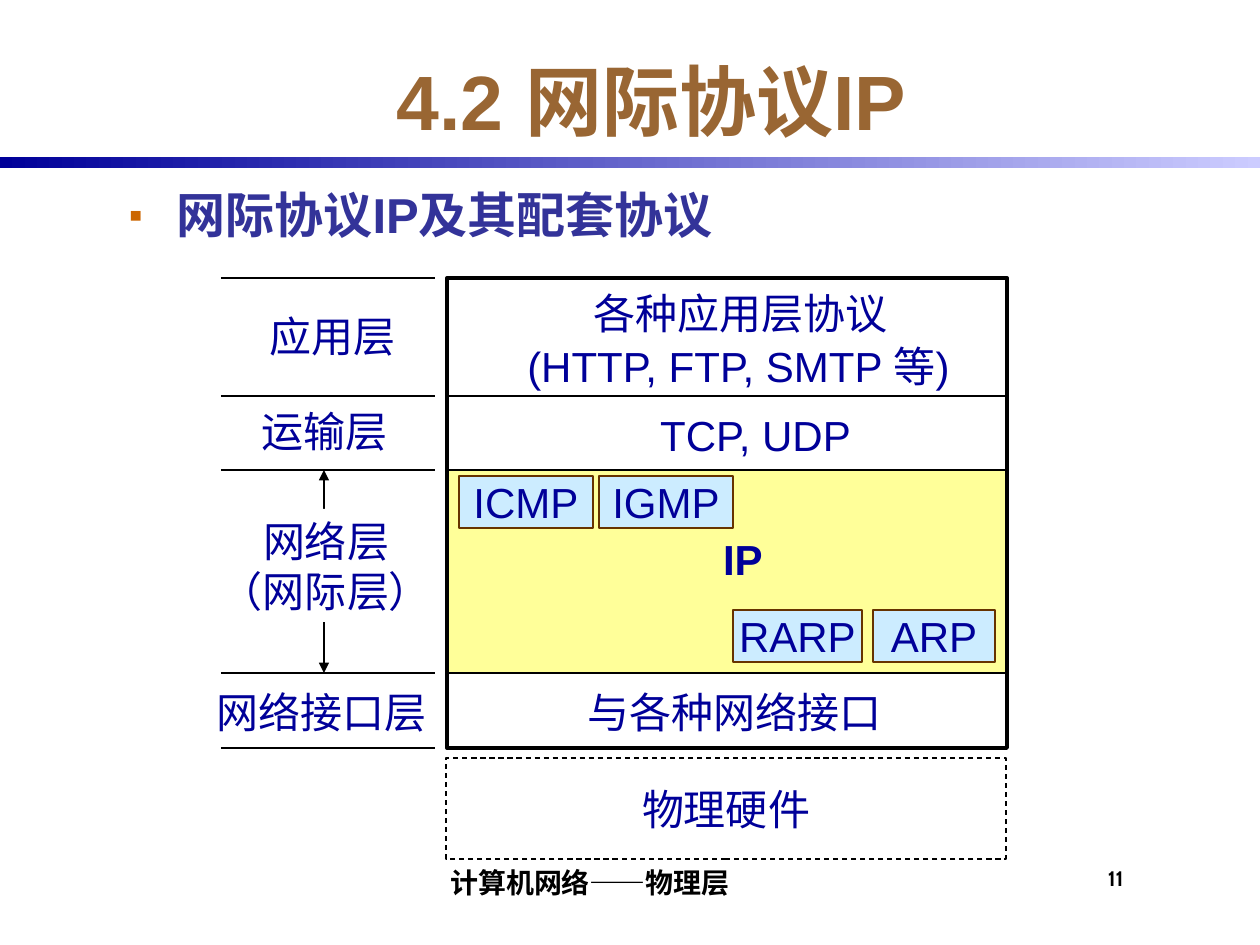
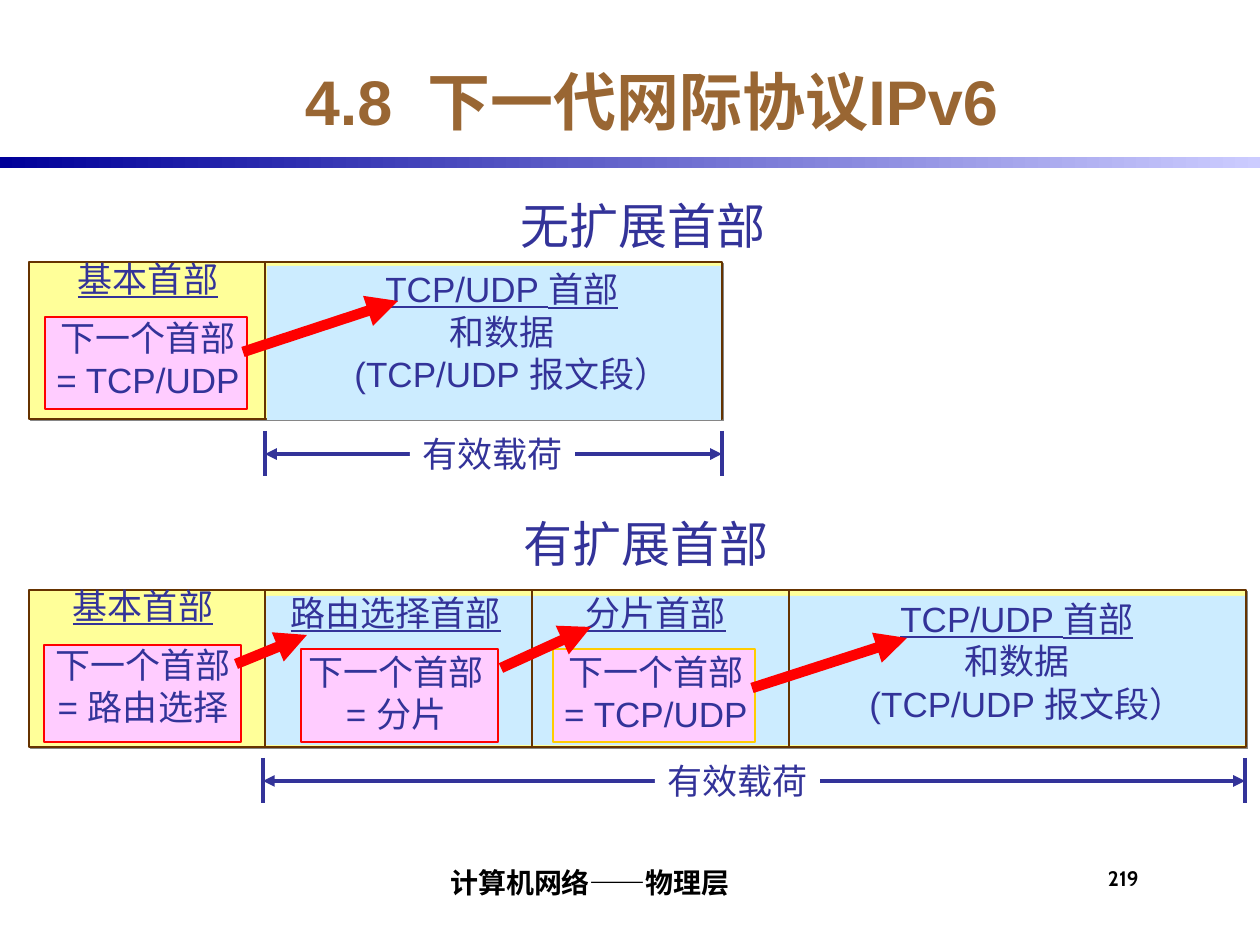
from lxml.etree import SubElement
from pptx import Presentation
from pptx.dml.color import RGBColor
from pptx.enum.dml import MSO_LINE
from pptx.enum.shapes import MSO_CONNECTOR, MSO_SHAPE
from pptx.enum.text import MSO_ANCHOR, MSO_AUTO_SIZE, PP_ALIGN
from pptx.oxml.ns import qn
from pptx.util import Emu, Pt

COLORS = {
    "title": "996633", "navy": "000099", "indigo": "333399", "pale": "CCCCFF",
    "bullet": "CC6600", "yellow": "FFFF99", "blue": "CCECFF", "pink": "FFCCFF",
    "brown": "663300", "red": "FF0000", "gold": "FFCC00", "white": "FFFFFF",
    "black": "000000", "shadow": "868686",
}
TOP, MIDDLE, BOTTOM = MSO_ANCHOR.TOP, MSO_ANCHOR.MIDDLE, MSO_ANCHOR.BOTTOM


def px(n):
    """Turn pixels at 126 to the inch into EMU."""
    return Emu(round(n * 914400 / 126))


def rgb(name):
    """Look up a named colour."""
    return RGBColor.from_string(COLORS[name])


def write(tf, text, size=24, color="navy", font="Arial", bold=False,
          align=PP_ALIGN.CENTER, anchor=MIDDLE, ins=(13, 6, 13, 6), wrap=False,
          underline_first=False, gap=0, last_indent=0, bullet=None):
    """Fill a text frame with one paragraph for each line of text."""
    tf.auto_size = MSO_AUTO_SIZE.NONE
    tf.word_wrap = wrap
    tf.vertical_anchor = anchor
    tf.margin_left, tf.margin_top, tf.margin_right, tf.margin_bottom = map(px, ins)
    lines = text.split("\n")
    for i, line in enumerate(lines):
        p = tf.paragraphs[0] if i == 0 else tf.add_paragraph()
        p.alignment = align
        if i == 1 and gap:
            p.space_before = Pt(gap)
        if i == len(lines) - 1 and last_indent:
            p._p.get_or_add_pPr().set("marL", str(px(last_indent)))
        if bullet:
            add_bullet(p, bullet)
        r = p.add_run()
        r.text = line
        r.font.name, r.font.size, r.font.bold = font, Pt(size), bold
        r.font.color.rgb = rgb(color)
        if underline_first and i == 0:
            r.font.underline = True


def add_bullet(p, char):
    """Give a paragraph a hanging bullet."""
    pPr = p._p.get_or_add_pPr()
    pPr.set("marL", str(px(48)))
    pPr.set("indent", str(-px(48)))
    color = SubElement(pPr, qn("a:buClr"))
    SubElement(color, qn("a:srgbClr"), val=COLORS["bullet"])
    SubElement(pPr, qn("a:buSzPct"), val="80000")
    SubElement(pPr, qn("a:buFont"), typeface="Arial")
    SubElement(pPr, qn("a:buChar"), char=char)


def add_text(s, x, y, w, h, text, **fmt):
    """Add a text box."""
    box = s.shapes.add_textbox(px(x), px(y), px(w), px(h))
    write(box.text_frame, text, **fmt)


def add_rect(s, x, y, w, h, fill=None, line=None, width=0.75, text=None, **fmt):
    """Add a rectangle with an optional fill, outline and text."""
    sp = s.shapes.add_shape(MSO_SHAPE.RECTANGLE, px(x), px(y), px(w), px(h))
    sp.shadow.inherit = False
    if fill:
        sp.fill.solid()
        sp.fill.fore_color.rgb = rgb(fill)
    else:
        sp.fill.background()
    if line:
        sp.line.color.rgb = rgb(line)
        sp.line.width = Pt(width)
    else:
        sp.line.fill.background()
    if text:
        write(sp.text_frame, text, **fmt)
    return sp


def add_shadow(sp):
    """Give a shape a hard shadow to the lower right."""
    effects = sp._element.spPr.find(qn("a:effectLst"))
    shadow = SubElement(effects, qn("a:outerShdw"), dist=str(Pt(1.4)),
                        dir="2700000", algn="ctr", rotWithShape="0")
    SubElement(shadow, qn("a:srgbClr"), val=COLORS["shadow"])


def add_line(s, x1, y1, x2, y2, color="black", width=0.75, arrows=()):
    """Add a straight line; arrows may name headEnd and tailEnd."""
    c = s.shapes.add_connector(MSO_CONNECTOR.STRAIGHT, px(x1), px(y1), px(x2), px(y2))
    c.line.color.rgb = rgb(color)
    c.line.width = Pt(width)
    for end in arrows:
        SubElement(c.line._get_or_add_ln(), qn(f"a:{end}"), type="triangle")
    SubElement(c._element.spPr, qn("a:effectLst"))


def add_slide(prs, title, size, number):
    """Add a slide with its title, gradient band, footer and number."""
    s = prs.slides.add_slide(prs.slide_layouts[5])
    band = add_rect(s, 0, 157, 1260, 11, fill="navy")
    band.fill.gradient()
    band.fill.gradient_angle = 0
    for stop, color in zip(band.fill.gradient_stops, ("navy", "pale")):
        stop.color.rgb = rgb(color)
    t = s.shapes.title
    t.left, t.top, t.width, t.height = px(116), px(42), px(1071), px(116)
    write(t.text_frame, title, size=size, color="title", bold=True, wrap=True)
    footer = {"font": "Cabin", "color": "black", "bold": True, "wrap": True}
    add_text(s, 262, 851, 651, 53, "计算机网络——物理层", size=16,
             anchor=BOTTOM, ins=(5, 0, 0, 5), **footer)
    add_text(s, 1103, 861, 73, 53, number, size=12, align=PP_ALIGN.LEFT,
             anchor=TOP, ins=(5, 5, 0, 0), **footer)
    return s


def layer_names(s, x, y, w, edges):
    """Draw the column of layer names between its rules."""
    for edge in edges:
        add_line(s, x, y + edge, x + w, y + edge)
    add_line(s, x + 103, y + edges[2], x + 103, y + edges[3],
             arrows=("headEnd", "tailEnd"))
    add_text(s, x + 36, y + 26, 151, 63, "应用层")
    add_text(s, x + 28, y + 121, 151, 63, "运输层")
    add_rect(s, x - 12, y + 231, 234, 113, fill="white", text="网络层\n（网际层）")
    add_text(s, x - 4, y + 402, 210, 63, "网络接口层")


def protocol_stack(s, x, y, w, edges):
    """Draw the framed protocols of each layer and the hardware below."""
    h = edges[-1]
    add_rect(s, x, y + edges[2], w, edges[3] - edges[2], fill="yellow")
    add_rect(s, x, y, w, h, line="black", width=2.25)
    for edge in edges[1:-1]:
        add_line(s, x, y + edge, x + w, y + edge)
    add_text(s, x + 134, y + 3, 319, 63, "各种应用层协议")
    add_text(s, x + 52, y + 56, 479, 63, "(HTTP, FTP, SMTP 等)")
    add_text(s, x + 198, y + 125, 221, 63, "TCP, UDP")
    add_text(s, x + 264, y + 249, 64, 63, "IP", bold=True)
    add_text(s, x + 128, y + 402, 319, 63, "与各种网络接口")
    for name, left, top, width in (("ICMP", 12, 198, 134), ("IGMP", 152, 198, 134),
                                   ("RARP", 286, 332, 129), ("ARP", 426, 332, 122)):
        add_rect(s, x + left, y + top, width, 52, fill="blue", line="brown", text=name)
    hardware = add_rect(s, x - 1, y + h + 10, w, 101, fill="white", line="black",
                        text="物理硬件")
    hardware.line.dash_style = MSO_LINE.DASH


def packet(s, x, y, w, dividers, blue, headers, segment, arrows):
    """Draw a packet whose parts are placed from its top left corner."""
    style = {"size": 20, "color": "indigo", "anchor": TOP, "underline_first": True}
    add_shadow(add_rect(s, x, y, w, 157, fill="yellow", line="brown"))
    left, top, height = blue
    add_rect(s, x + left, y + top, w - left - 1, height, fill="blue")
    for d in dividers:
        add_line(s, x + d, y, x + d, y + 157, color="brown")
    for name, value, center, text_top, (bx, by, bw, bh), edge, width in headers:
        add_rect(s, x + bx, y + by, bw, bh, fill="pink", line=edge, width=width)
        add_text(s, x + center - 105, y + text_top, 210, 156,
                 f"{name}\n下一个首部\n= {value}", gap=10, **style)
    left, top = segment
    add_text(s, x + left, y + top, 368, 139,
             "TCP/UDP 首部\n和数据\n(TCP/UDP 报文段）", last_indent=20, **style)
    for x1, y1, x2, y2 in arrows:
        add_line(s, x + x1, y + y1, x + x2, y + y2, color="red", width=6,
                 arrows=("tailEnd",))


def payload(s, x, y, w, label_x):
    """Draw the payload dimension line between two ticks."""
    ink = {"color": "indigo", "width": 2.25}
    add_line(s, x, y + 23, x + w, y + 23, arrows=("headEnd", "tailEnd"), **ink)
    for tick in (x, x + w):
        add_line(s, tick, y, tick, y + 45, **ink)
    add_rect(s, x + label_x, y - 5, 165, 55, fill="white", text="有效载荷",
             size=20, color="indigo")


def ip_slide(prs):
    """Build the slide on IP and its companion protocols."""
    s = add_slide(prs, "4.2 网际协议IP", 44, "11")
    add_text(s, 116, 179, 1071, 72, "网际协议IP及其配套协议", size=28, color="indigo",
             bold=True, align=PP_ALIGN.LEFT, anchor=TOP, wrap=True, bullet="▪")
    edges = (0, 118, 192, 395, 470)
    layer_names(s, 221, 278, 214, edges)
    protocol_stack(s, 447, 278, 560, edges)


def ipv6_slide(prs):
    """Build the slide on IPv6 packets without and with extension headers."""
    s = add_slide(prs, "4.8  下一代网际协议IPv6", 36, "219")
    heading = {"size": 28, "color": "indigo", "font": "Cabin"}
    add_text(s, 508, 189, 270, 72, "无扩展首部", **heading)
    packet(s, 29, 262, 693, (236,), (238, 4, 154),
           [("基本首部", "TCP/UDP", 119, -11, (16, 55, 202, 92), "red", 0.75)],
           (289, 0), [(214, 90, 369, 39)])
    payload(s, 265, 431, 457, 145)
    add_text(s, 511, 507, 270, 72, "有扩展首部", **heading)
    packet(s, 29, 590, 1217, (236, 503, 760), (236, 6, 149),
           [("基本首部", "路由选择", 114, -12, (15, 55, 197, 97), "red", 1.5),
            ("路由选择首部", "分片", 367, -5, (272, 59, 197, 93), "red", 1.5),
            ("分片首部", "TCP/UDP", 627, -5, (524, 59, 202, 93), "gold", 1.5)],
           (804, 2), [(207, 74, 278, 45), (472, 78, 562, 37), (723, 98, 878, 48)])
    payload(s, 263, 758, 982, 392)


def main():
    """Build and save the presentation."""
    prs = Presentation()
    prs.slide_width, prs.slide_height = px(1260), px(945)
    ip_slide(prs)
    ipv6_slide(prs)
    prs.save("out.pptx")


if __name__ == "__main__":
    main()
